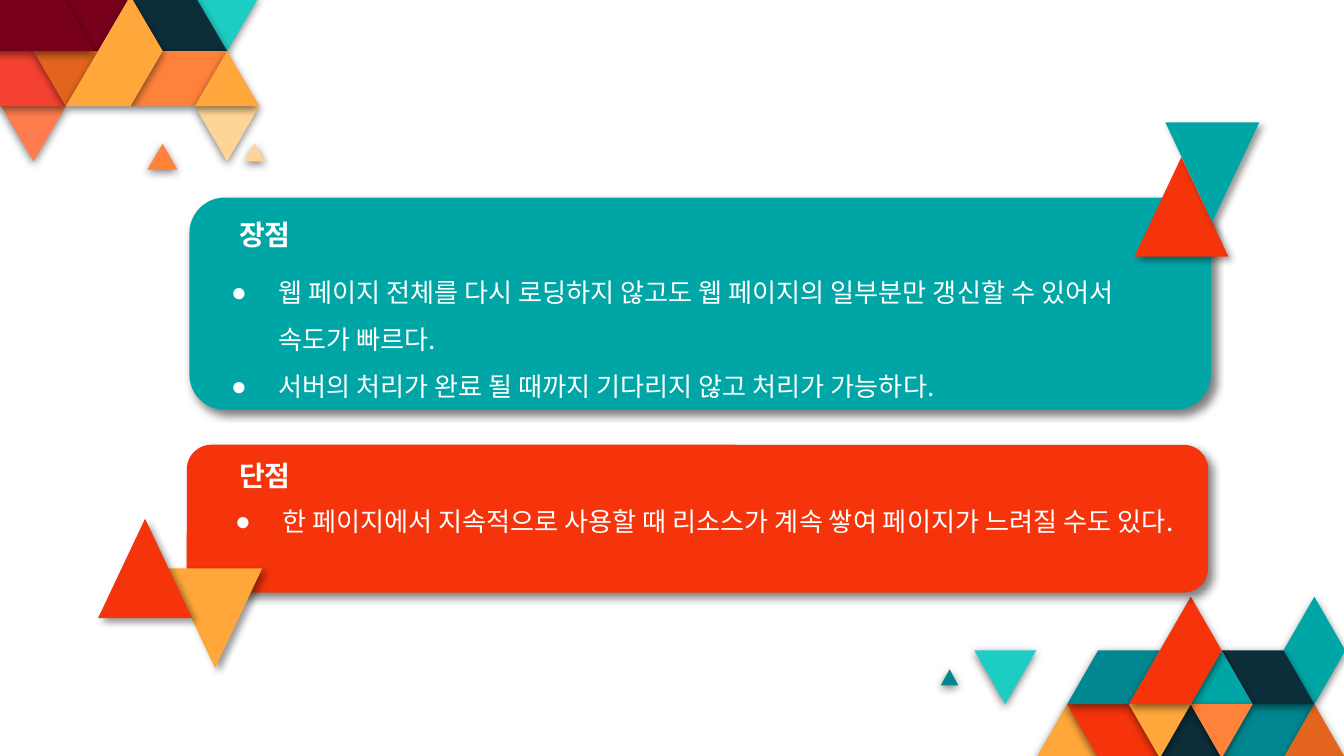
from lxml import etree
from pptx import Presentation
from pptx.dml.color import RGBColor
from pptx.enum.shapes import MSO_SHAPE
from pptx.enum.text import MSO_ANCHOR, MSO_AUTO_SIZE
from pptx.oxml.ns import qn
from pptx.util import Inches, Pt

ROUND, TRI = MSO_SHAPE.ROUNDED_RECTANGLE, MSO_SHAPE.ISOSCELES_TRIANGLE
TOP, FIXED = MSO_ANCHOR.TOP, MSO_AUTO_SIZE.NONE
FONT = "Noto Sans CJK KR"

WHITE = RGBColor(0xFF, 0xFF, 0xFF)
TEAL = RGBColor(0x00, 0xA6, 0xA6)
DEEP = RGBColor(0x01, 0x87, 0x90)
AQUA = RGBColor(0x1D, 0xCD, 0xC3)
NAVY = RGBColor(0x0C, 0x2E, 0x3A)
WINE = RGBColor(0x78, 0x00, 0x1B)
RED = RGBColor(0xF5, 0x34, 0x0B)
ROSE = RGBColor(0xF5, 0x41, 0x32)
CORAL = RGBColor(0xFF, 0x7C, 0x4E)
RUST = RGBColor(0xE3, 0x65, 0x1D)
PEACH = RGBColor(0xFF, 0x82, 0x3B)
AMBER = RGBColor(0xFF, 0xA7, 0x3B)
CREAM = RGBColor(0xFF, 0xD4, 0x97)


def paint(shape, color, alpha, blur, dist, angle):
    """Flat fill, no outline, soft black shadow."""
    shape.fill.solid()
    shape.fill.fore_color.rgb = color
    shape.line.fill.background()
    shape.shadow.inherit = False
    effect = shape._element.spPr.find(qn("a:effectLst"))
    cast = etree.SubElement(effect, qn("a:outerShdw"), blurRad=str(Pt(blur)),
                            dist=str(Pt(dist)), dir=str(angle * 60000),
                            algn="bl", rotWithShape="0")
    black = etree.SubElement(cast, qn("a:srgbClr"), val="000000")
    etree.SubElement(black, qn("a:alpha"), val=str(alpha * 1000))


def style(run, size, bold):
    run.font.size, run.font.bold, run.font.name = Pt(size), bold, FONT
    run.font.color.rgb = WHITE
    etree.SubElement(run._r.get_or_add_rPr(), qn("a:ea"), typeface=FONT)


prs = Presentation()
prs.slide_width = Inches(10)
prs.slide_height = prs.slide_width * 9 // 16
slide = prs.slides.add_slide(prs.slide_layouts[4])  # comparison
shapes = slide.shapes
title = shapes.title._element
title.getparent().remove(title)

# Corner mosaics: points count half-triangle columns and rows
low = [
    (AMBER, [(2, 3), (3, 2), (4, 3)]),
    (RED, [(3, 2), (5, 2), (6, 3), (4, 3)]),
    (DEEP, [(8, 3), (9, 2), (11, 2), (10, 3)]),
    (RUST, [(10, 3), (11, 2), (12, 3)]),
    (NAVY, [(6, 3), (7, 2), (8, 3)]),
    (DEEP, [(3, 2), (4, 1), (6, 1), (5, 2)]),
    (DEEP, [(-1.09, 1.65), (-0.8, 1.35), (-0.52, 1.65)]),
    (AQUA, [(0, 1), (2, 1), (1, 2)]),
    (TEAL, [(10, 1), (11, 0), (12, 1), (11, 2)]),
    (NAVY, [(8, 1), (10, 1), (11, 2), (9, 2)]),
    (TEAL, [(7, 2), (8, 1), (9, 2)]),
    (PEACH, [(7, 2), (9, 2), (8, 3)]),
    (AMBER, [(5, 2), (7, 2), (6, 3)]),
    (RED, [(5, 2), (7, 0), (8, 1), (7, 2)]),
]
high = [
    (WINE, [(4, 0), (2.93, 1.07), (1.87, 0)]),
    (AQUA, [(8, 0), (7, 1), (6, 0)]),
    (NAVY, [(7, 1), (5, 1), (4, 0), (6, 0)]),
    (CREAM, [(8, 2), (7, 3), (6, 2)]),
    (PEACH, [(5.46, 3.15), (4.53, 3.15), (5, 2.68)]),
    (CREAM, [(8.18, 3), (7.54, 3), (7.86, 2.68)]),
    (PEACH, [(7, 1), (6, 2), (4, 2), (5, 1)]),
    (AMBER, [(8, 2), (6, 2), (7, 1)]),
    (CORAL, [(2, 2), (1, 3), (0, 2)]),
    (ROSE, [(2, 2), (-2, 2), (-1, 1), (1, 1)]),
    (RUST, [(3, 1), (2, 2), (1, 1)]),
    (WINE, [(2.88, 1), (-1.1, 1), (-0.1, 0), (1.9, 0)]),
    (AMBER, [(5, 1), (4, 2), (2, 2), (4, 0)]),
]
for left, top, col, row, tiles in [(7.25, 4.44, 0.23, 0.4, low),
                                   (0.01, -0.03, 0.24, 0.41, high)]:
    for color, points in tiles:
        spots = [(Inches(left + x * col), Inches(top + y * row))
                 for x, y in points]
        pen = shapes.build_freeform(*spots[0])
        pen.add_line_segments(spots[1:], close=True)
        paint(pen.convert_to_shape(), color, 49, 4.5, 1.5, 90)

# Cards and the triangles at their corners
pieces = [
    (ROUND, 1.41, 1.47, 7.6, 1.58, 0, TEAL),
    (TRI, 8.44, 1.17, 0.7, 0.74, 0, RED),
    (TRI, 8.67, 0.91, 0.7, 0.74, 180, TEAL),
    (ROUND, 1.39, 3.31, 7.6, 1.1, 0, RED),
    (TRI, 1.25, 4.23, 0.7, 0.74, 180, AMBER),
    (TRI, 0.73, 3.86, 0.7, 0.74, 0, RED),
]
for kind, x, y, w, h, turn, color in pieces:
    piece = shapes.add_shape(kind, Inches(x), Inches(y), Inches(w), Inches(h))
    piece.rotation = turn
    if kind == ROUND:
        paint(piece, color, 50, 4.5, 3, 47)
    else:
        paint(piece, color, 40, 4, 3, 45)

# Headings and lists, in front of the cards
pros = ["웹 페이지 전체를 다시 로딩하지 않고도 웹 페이지의 일부분만 갱신할 수 있어서 속도가 빠르다.",
        "서버의 처리가 완료 될 때까지 기다리지 않고 처리가 가능하다."]
cons = ["한 페이지에서 지속적으로 사용할 때 리소스가 계속 쌓여 페이지가 느려질 수도 있다."]
texts = [
    (2, 1.47, 1.84, 7.24, 1.21, pros, 1.5, True),
    (4, 1.5, 3.66, 7.42, 0.69, cons, 1, True),
    (1, 1.68, 1.52, 5.92, 0.69, ["장점"], 1, False),
    (3, 1.68, 3.31, 5.92, 0.69, ["단점"], 1, False),
]
holders = {p.placeholder_format.idx: p for p in slide.placeholders}
for idx, x, y, w, h, lines, gap, listed in texts:
    box = holders[idx]
    box.left, box.top, box.width, box.height = map(Inches, (x, y, w, h))
    shapes._spTree.append(box._element)
    frame = box.text_frame
    frame.text = "\n".join(lines)
    frame.word_wrap, frame.auto_size = True, FIXED
    frame.vertical_anchor = TOP
    frame.margin_left = frame.margin_right = Inches(0.1)
    frame.margin_top = frame.margin_bottom = Inches(0.1)
    for para in frame.paragraphs:
        para.space_before, para.line_spacing = Pt(0), gap
        if listed:
            props = para._p.get_or_add_pPr()
            props.set("marL", str(Inches(0.5)))
            props.set("indent", str(Inches(-0.35)))
            tint = etree.SubElement(props, qn("a:buClr"))
            etree.SubElement(tint, qn("a:srgbClr"), val=str(WHITE))
            etree.SubElement(props, qn("a:buChar"), char="●")
        style(para.runs[0], 14 if listed else 15, not listed)

prs.save("out.pptx")
